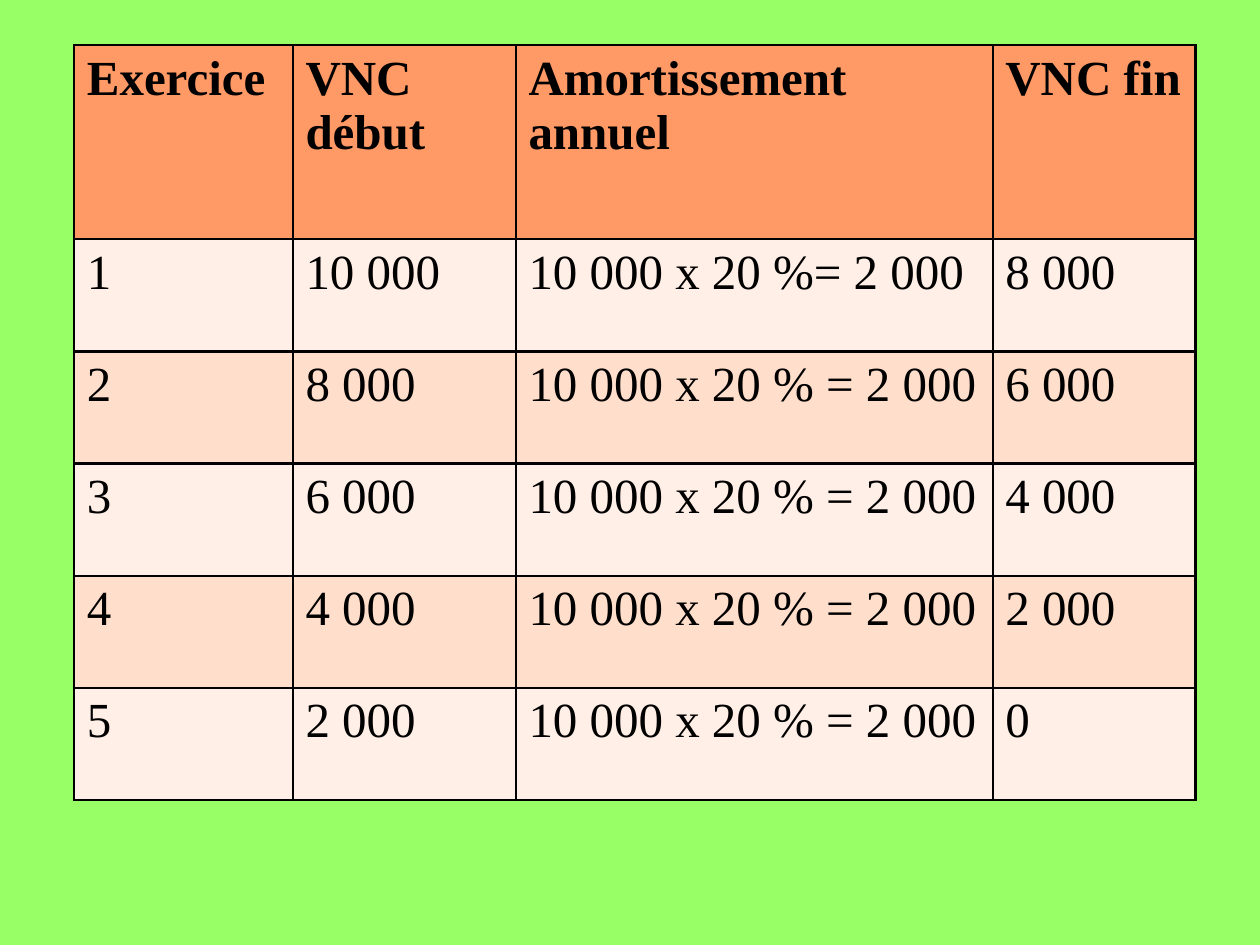
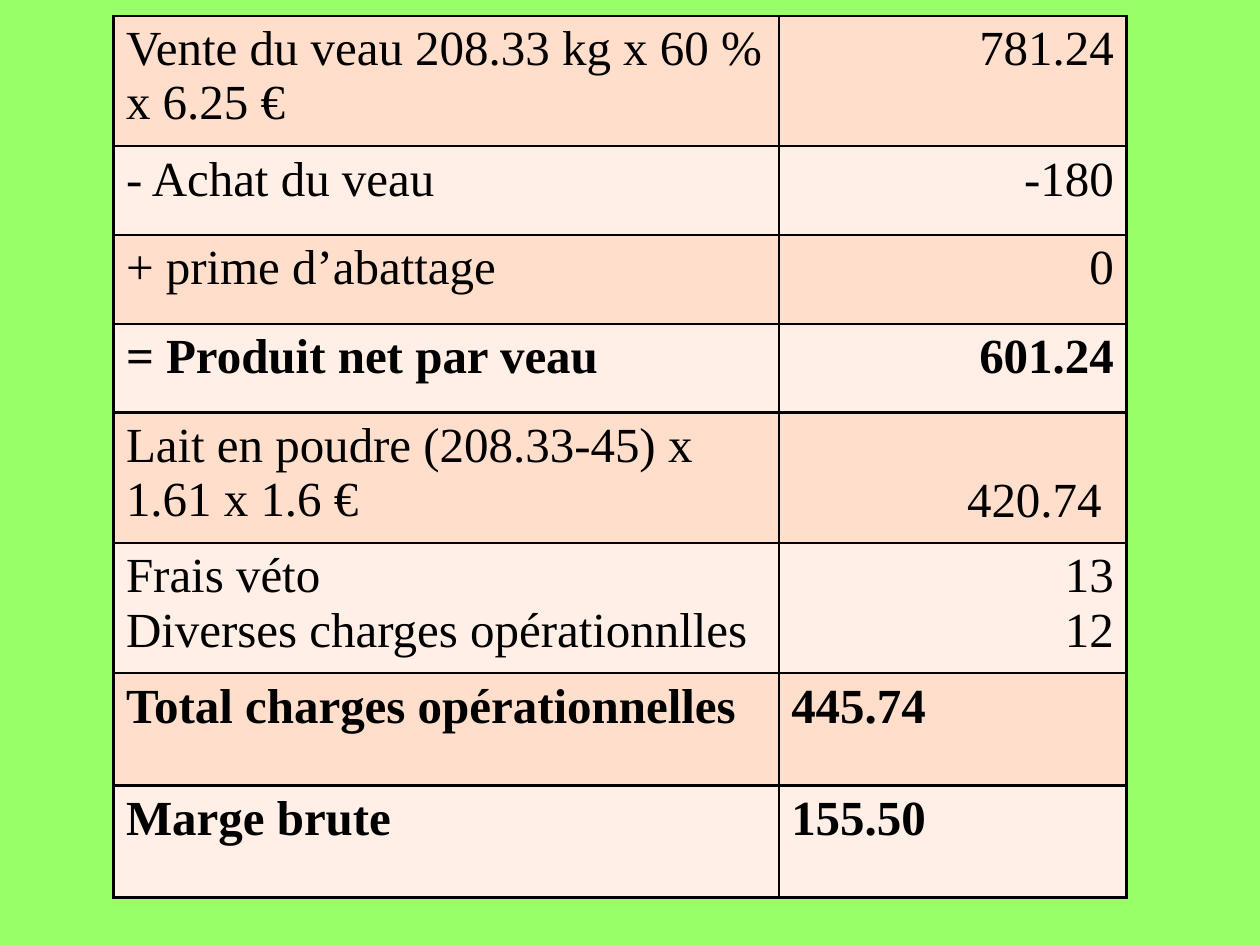
from lxml import etree
from pptx import Presentation
from pptx.dml.color import RGBColor
from pptx.enum.text import MSO_ANCHOR, PP_ALIGN
from pptx.oxml.ns import qn
from pptx.util import Inches, Pt

LEFT, RIGHT = PP_ALIGN.LEFT, PP_ALIGN.RIGHT
BOTTOM = MSO_ANCHOR.BOTTOM
BLANK_LAYOUT = 6


def rgb(code):
    return RGBColor.from_string(code)


class Deck:
    """Shared style and the current slide, on a grid of 100 columns by 75 rows."""

    FONT, SIZE = "Times New Roman", 28
    GREEN, ORANGE, INK = "99FF66", "FF9966", "000000"
    PALE, PEACH = "FFEFE7", "FFDECB"
    BORDER = 1.47

    def __init__(self, width=10, height=7.5):
        self.prs = Presentation()
        self.prs.slide_width, self.prs.slide_height = Inches(width), Inches(height)
        fill = self.prs.slide_master.background.fill
        fill.solid()
        fill.fore_color.rgb = rgb(self.GREEN)
        self.slide = None

    def x(self, columns):
        return round(self.prs.slide_width * columns / 100)

    def y(self, rows):
        return round(self.prs.slide_height * rows / 75)

    def add_slide(self):
        self.slide = self.prs.slides.add_slide(self.prs.slide_layouts[BLANK_LAYOUT])

    def border(self, cell):
        tc_pr = cell._tc.get_or_add_tcPr()
        for i, side in enumerate(("lnL", "lnR", "lnT", "lnB")):
            ln = etree.Element(qn(f"a:{side}"), w=str(Pt(self.BORDER)))
            solid = etree.SubElement(ln, qn("a:solidFill"))
            etree.SubElement(solid, qn("a:srgbClr"), val=self.INK)
            tc_pr.insert(i, ln)

    def cell(self, cell, text, fill, bold, align):
        cell.fill.solid()
        cell.fill.fore_color.rgb = rgb(fill)
        self.border(cell)
        cell.text_frame.text = text
        for p in cell.text_frame.paragraphs:
            p.alignment = align
            p.font.name, p.font.size = self.FONT, Pt(self.SIZE)
            p.font.bold = bold
            p.font.color.rgb = rgb(self.INK)

    def table(self, left, top, widths, heights, rows, fills, bold_rows, right_cells=()):
        frame = self.slide.shapes.add_table(
            len(rows), len(widths), self.x(left), self.y(top),
            self.x(sum(widths)), self.y(sum(heights)))
        table = frame.table
        table.first_row = table.horz_banding = False
        for column, width in zip(table.columns, widths):
            column.width = self.x(width)
        for r, (height, texts) in enumerate(zip(heights, rows)):
            table.rows[r].height = self.y(height)
            for c, text in enumerate(texts):
                align = RIGHT if (r, c) in right_cells else LEFT
                self.cell(table.cell(r, c), text, fills[r], r in bold_rows, align)
        return table


def depreciation_slide(deck):
    """Straight-line depreciation over five years."""
    deck.add_slide()
    rows = [
        ("Exercice", "VNC début", "Amortissement annuel", "VNC fin"),
        ("1", "10 000", "10 000 x 20 %= 2 000", "8 000"),
        ("2", "8 000", "10 000 x 20 % = 2 000", "6 000"),
        ("3", "6 000", "10 000 x 20 % = 2 000", "4 000"),
        ("4", "4 000", "10 000 x 20 % = 2 000", "2 000"),
        ("5", "2 000", "10 000 x 20 % = 2 000", "0"),
    ]
    years = len(rows) - 1
    bands = [deck.PEACH if i % 2 else deck.PALE for i in range(years)]
    deck.table(5.9, 3.6, [17.35, 17.7, 37.85, 16.1], [15.4] + [8.9] * years,
               rows, [deck.ORANGE] + bands, bold_rows={0})


def margin_slide(deck):
    """Gross margin per calf."""
    deck.add_slide()
    rows = [
        ("Vente du veau 208.33 kg x 60 % x 6.25 €", "781.24"),
        ("- Achat du veau", "-180"),
        ("+ prime d’abattage", "0"),
        ("= Produit net par veau", "601.24"),
        ("Lait en poudre (208.33-45) x 1.61 x 1.6 €", "420.74 "),
        ("Frais véto\nDiverses charges opérationnlles", "13\n12"),
        ("Total charges opérationnelles", "445.74"),
        ("Marge brute", "155.50"),
    ]
    double, single, total = 10.35, 7.05, 8.9
    heights = [double] + [single] * 3 + [double] * 2 + [total] * 2
    bands = [deck.PALE if i % 2 else deck.PEACH for i in range(len(rows))]
    milk_row, first_total = 4, 6
    table = deck.table(9, 1.25, [52.8, 27.6], heights, rows, bands,
                       bold_rows={3, 6, 7},
                       right_cells={(r, 1) for r in range(first_total)})

    # The milk amount lines up with the second line of its label
    amount = table.cell(milk_row, 1)
    amount.vertical_anchor = BOTTOM
    amount.margin_bottom = deck.y(1.2)


def main():
    deck = Deck()
    depreciation_slide(deck)
    margin_slide(deck)
    deck.prs.save("out.pptx")


if __name__ == "__main__":
    main()
